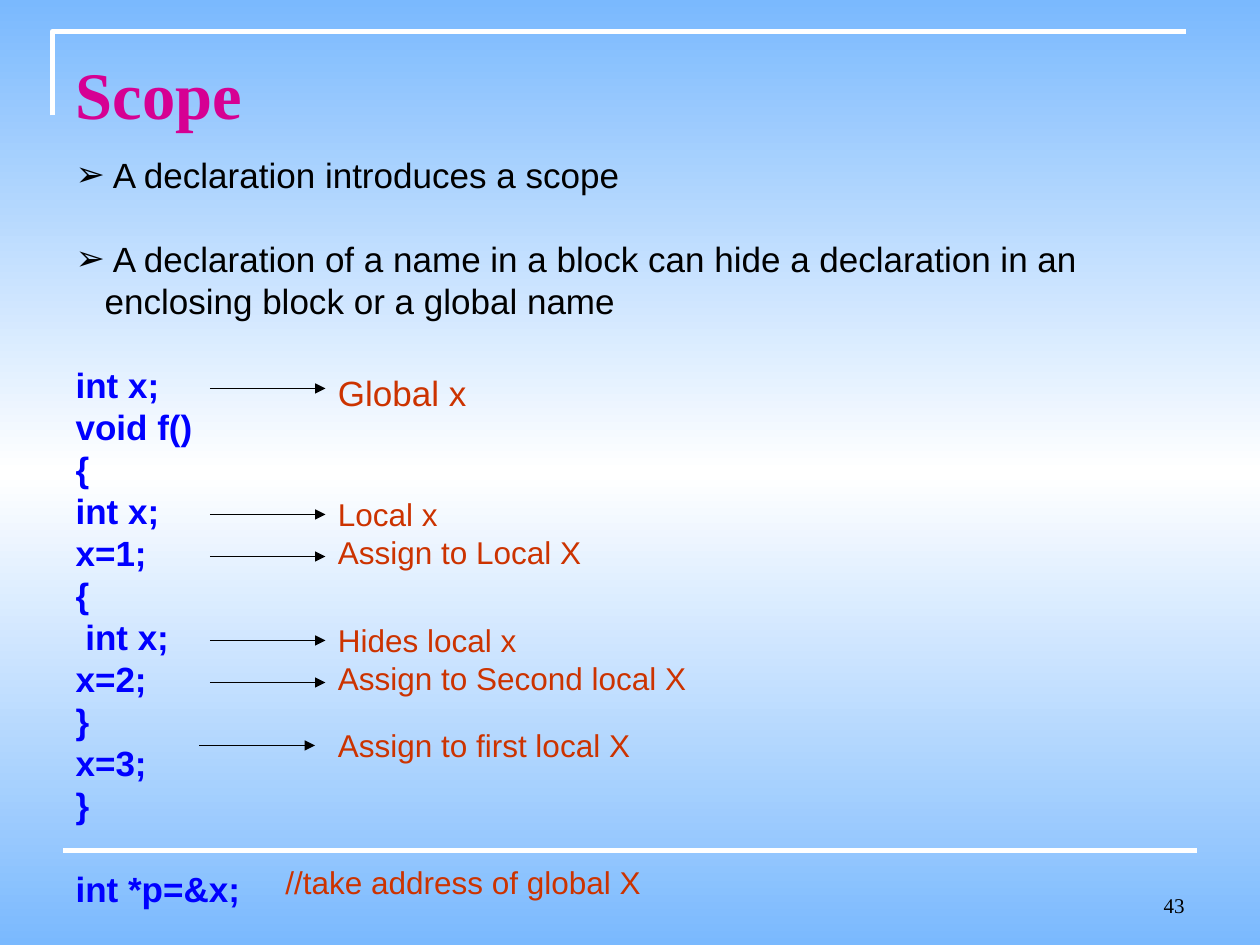
from copy import deepcopy
from dataclasses import dataclass
from typing import NamedTuple

from lxml import etree
from pptx import Presentation
from pptx import util as u
from pptx.dml.color import RGBColor
from pptx.enum import shapes, text
from pptx.oxml import ns

CELL = u.Inches(1) / 12
COLUMNS, ROWS = 120, 90


@dataclass(frozen=True)
class Theme:
    sky: str = "7AB9FE"
    white: str = "FFFFFF"
    ink: str = "000000"
    heading: str = "D60093"
    code: str = "0000FF"
    note: str = "CC3300"
    serif: str = "Times New Roman"
    sans: str = "Arial"
    heading_size: int = 38
    body_size: int = 20
    note_size: int = 18
    number_size: int = 12
    leading: int = 24
    rule: float = 3
    arrow: float = 0.75


THEME = Theme()


class Box(NamedTuple):
    left: float
    top: float
    width: float
    height: float

    def inner(self, column, row, width, height):
        return Box(self.left + column, self.top + row, width, height)

    def emu(self):
        return [u.Emu(round(side * CELL)) for side in self]


def place(shape, box):
    shape.left, shape.top, shape.width, shape.height = box.emu()


def style(paragraph, size, color, face, bold=False):
    for run in paragraph.runs:
        run.font.size = u.Pt(size)
        run.font.name = face
        run.font.bold = bold
        run.font.color.rgb = RGBColor.from_string(color)


def set_bullet(paragraph, char=None, indent=0):
    props = paragraph._p.get_or_add_pPr()
    props.set("marL", str(u.Inches(indent)))
    props.set("indent", str(-u.Inches(indent)))
    if char:
        color = etree.SubElement(props, ns.qn("a:buClr"))
        etree.SubElement(color, ns.qn("a:srgbClr"), val=THEME.ink)
        etree.SubElement(props, ns.qn("a:buChar"), char=char)
    else:
        etree.SubElement(props, ns.qn("a:buNone"))


def add_line(slide, box, color, weight, arrowhead=False):
    left, top, width, height = box.emu()
    line = slide.shapes.add_connector(
        shapes.MSO_CONNECTOR.STRAIGHT, left, top, left + width, top + height)
    line.line.color.rgb = RGBColor.from_string(color)
    line.line.width = u.Pt(weight)
    if arrowhead:
        outline = line._element.spPr.find(ns.qn("a:ln"))
        etree.SubElement(outline, ns.qn("a:tailEnd"), type="triangle")
    etree.SubElement(line._element.spPr, ns.qn("a:effectLst"))


def add_label(slide, box, lines, size, color, face):
    label = slide.shapes.add_textbox(*box.emu())
    frame = label.text_frame
    frame.word_wrap = True
    frame.text = "\n".join(lines)
    for paragraph in frame.paragraphs:
        style(paragraph, size, color, face)
    return frame


def paint_background(slide):
    fill = slide.background.fill
    fill.gradient()
    fill.gradient_angle = 90
    first = next(slide.element.iter(ns.qn("a:gs")))
    first.addnext(deepcopy(first))
    for stop, position, color in zip(
            fill.gradient_stops, (0, 0.5, 1), (THEME.sky, THEME.white, THEME.sky)):
        stop.position = position
        stop.color.rgb = RGBColor.from_string(color)


def add_frame(slide, box):
    corner = box.inner(5, 3, 108, 8)
    builder = slide.shapes.build_freeform(
        corner.left, corner.top + corner.height, scale=CELL)
    builder.add_line_segments(
        [(corner.left, corner.top), (corner.left + corner.width, corner.top)], close=False)
    bracket = builder.convert_to_shape()
    bracket.shadow.inherit = False
    bracket.fill.background()
    bracket.line.color.rgb = RGBColor.from_string(THEME.white)
    bracket.line.width = u.Pt(THEME.rule)
    add_line(slide, box.inner(6, 81, 108, 0), THEME.white, THEME.rule)


def add_page_number(slide, box, number):
    frame = add_label(slide, box, [number], THEME.number_size, THEME.ink, THEME.serif)
    frame.vertical_anchor = text.MSO_ANCHOR.BOTTOM
    frame.paragraphs[0].alignment = text.PP_ALIGN.RIGHT


def fill_title(slide, box, heading):
    title = slide.shapes.title
    place(title, box)
    frame = title.text_frame
    frame.text = heading
    frame.auto_size = text.MSO_AUTO_SIZE.NONE
    frame.vertical_anchor = text.MSO_ANCHOR.TOP
    frame.margin_top = u.Inches(0.12)
    frame.paragraphs[0].alignment = text.PP_ALIGN.LEFT
    style(frame.paragraphs[0], THEME.heading_size, THEME.heading, THEME.serif, True)


def fill_body(slide, box, points, code_blocks):
    body = slide.placeholders[1]
    place(body, box)
    frame = body.text_frame
    code = [line for block in code_blocks for line in block]
    frame.text = "\n".join(points + code)
    frame.auto_size = text.MSO_AUTO_SIZE.NONE
    frame.vertical_anchor = text.MSO_ANCHOR.TOP
    block_starts = {len(points), len(points) + len(code_blocks[0])}
    for index, paragraph in enumerate(frame.paragraphs):
        is_point = index < len(points)
        has_gap = index > 0 and (is_point or index in block_starts)
        if is_point:
            set_bullet(paragraph, "➢", 0.23)
        else:
            set_bullet(paragraph)
        paragraph.line_spacing = u.Pt(THEME.leading)
        paragraph.space_before = u.Pt(THEME.leading if has_gap else 0)
        style(paragraph, THEME.body_size, THEME.ink if is_point else THEME.code,
              THEME.sans, not is_point)


def add_annotations(slide, box):
    for column, row in ((1, 0), (1, 12), (1, 16), (1, 24), (1, 28), (0, 34)):
        add_line(slide, box.inner(column, row, 11, 0), THEME.ink, THEME.arrow, True)
    notes = (
        (12, -2.2, 31, 5.3, THEME.body_size, ["Global x"]),
        (12, 9.6, 37, 8.4, THEME.note_size, ["Local x", "Assign to Local X"]),
        (12, 21.6, 37, 8.4, THEME.note_size, ["Hides local x", "Assign to Second local X"]),
        (12, 31.6, 37, 4.8, THEME.note_size, ["Assign to first local X"]),
        (7, 44.6, 37, 4.8, THEME.note_size, ["//take address of global X"]),
    )
    for column, row, width, height, size, lines in notes:
        add_label(slide, box.inner(column, row, width, height), lines,
                  size, THEME.note, THEME.sans)


def build_scope_slide(deck, page):
    slide = deck.slides.add_slide(deck.slide_layouts[1])
    paint_background(slide)
    add_frame(slide, page)
    add_page_number(slide, page.inner(86, 82, 28, 6), "43")
    fill_title(slide, page.inner(6, 3.6, 108, 7.3), "Scope")
    fill_body(
        slide, page.inner(6, 14, 107, 73.3),
        [" A declaration introduces a scope",
         " A declaration of a name in a block can hide a declaration in an "
         "enclosing block or a global name"],
        [["int x;", "void f()", "{", "int x;", "x=1;", "{", " int x;", "x=2;",
          "}", "x=3;", "}"],
         ["int *p=&x;"]])
    add_annotations(slide, page.inner(19, 37, 49, 50))


def main():
    deck = Presentation()
    deck.slide_width = u.Emu(round(COLUMNS * CELL))
    deck.slide_height = u.Emu(round(ROWS * CELL))
    build_scope_slide(deck, Box(0, 0, COLUMNS, ROWS))
    deck.save("out.pptx")


if __name__ == "__main__":
    main()
